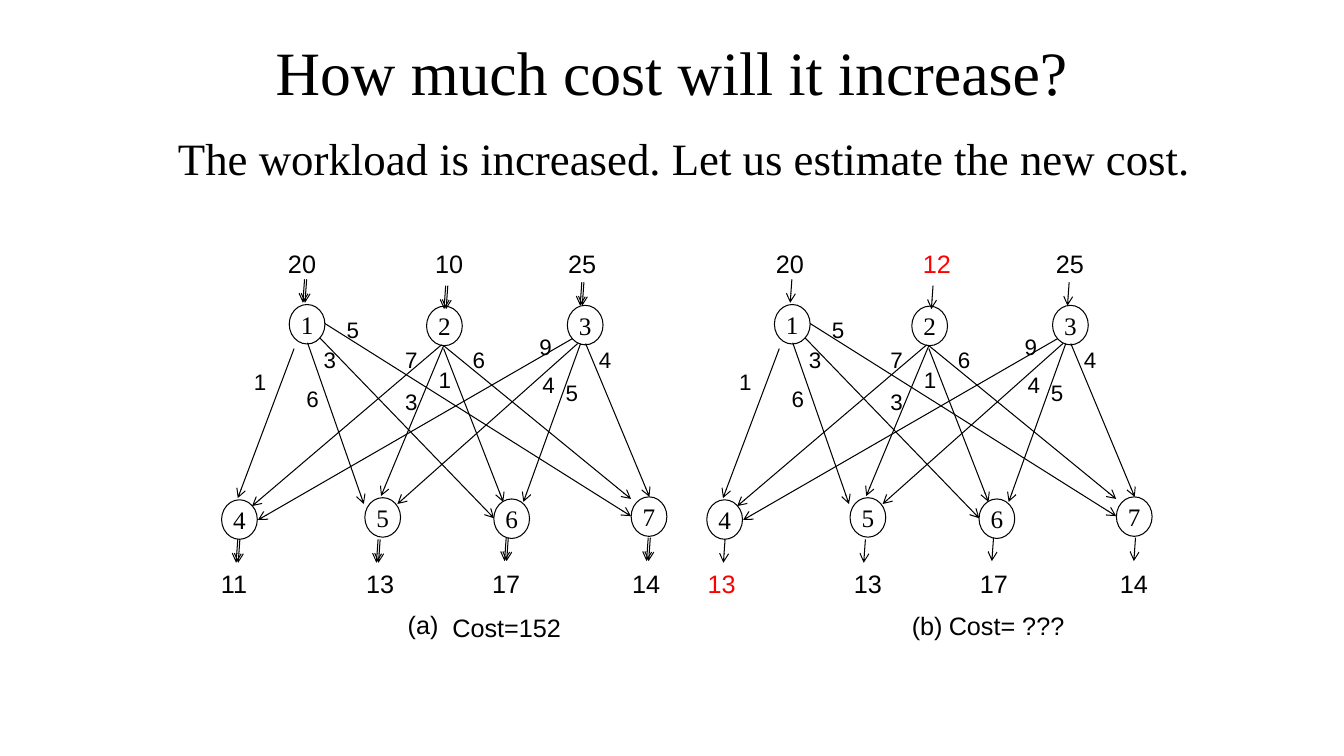
import pptx
import pptx.dml.color
import pptx.enum.shapes
import pptx.enum.text
import pptx.oxml.ns
import pptx.util
import lxml.etree

COLORS = {"ink": "000000", "changed": "FF0000"}
SERIF, SANS = "Times New Roman", "Arial"
ALIGN = pptx.enum.text.PP_ALIGN
ANCHOR = pptx.enum.text.MSO_ANCHOR

presentation = pptx.Presentation()
presentation.slide_width = pptx.util.Inches(13.33)
presentation.slide_height = pptx.util.Inches(7.5)
slide = presentation.slides.add_slide(presentation.slide_layouts[6])

# The slide is a grid of 160 columns by 90 rows.
CELL = presentation.slide_height / 90
PANEL_SHIFT = 57.75
NODE_WIDTH, NODE_HEIGHT = 4.25, 4.7
STUB_LEAN, STUB_LENGTH = -0.2, 2.8
LINE_WIDTH = pptx.util.Pt(0.75)


def add_label(text, x, y, width, height, size, font=SANS, color="ink", node=False):
    """Centre a text box, or a circled node, on the grid point (x, y)."""
    box = [round(value * CELL) for value in (x - width / 2, y - height / 2, width, height)]
    if node:
        shape = slide.shapes.add_shape(pptx.enum.shapes.MSO_SHAPE.OVAL, *box)
        shape.shadow.inherit = False
        shape.fill.background()
        shape.line.color.rgb = pptx.dml.color.RGBColor.from_string(COLORS["ink"])
        shape.line.width = LINE_WIDTH
    else:
        shape = slide.shapes.add_textbox(*box)
    frame = shape.text_frame
    frame.word_wrap = not node
    frame.vertical_anchor = ANCHOR.MIDDLE
    if width < 10:
        frame.margin_left = frame.margin_right = frame.margin_top = frame.margin_bottom = 0
    paragraph = frame.paragraphs[0]
    paragraph.alignment = ALIGN.CENTER
    run = paragraph.add_run()
    run.text = text
    run.font.size = pptx.util.Pt(size)
    run.font.name = font
    run.font.color.rgb = pptx.dml.color.RGBColor.from_string(COLORS[color])
    return frame


def add_arrow(start_x, start_y, end_x, end_y):
    ends = [round(value * CELL) for value in (start_x, start_y, end_x, end_y)]
    arrow = slide.shapes.add_connector(pptx.enum.shapes.MSO_CONNECTOR.STRAIGHT, *ends)
    arrow.line.color.rgb = pptx.dml.color.RGBColor.from_string(COLORS["ink"])
    arrow.line.width = LINE_WIDTH
    qn = pptx.oxml.ns.qn
    properties = arrow.line._get_or_add_ln()
    lxml.etree.SubElement(properties, qn("a:tailEnd"), type="arrow")
    lxml.etree.SubElement(properties.getparent(), qn("a:effectLst"))


add_label("How much cost will it increase?", 80, 8.4, 108, 12.75, 44, SERIF)
subtitle = add_label("The workload is increased. Let us estimate the new cost.",
                     81.5, 21.5, 123, 13, 32, SERIF)
subtitle.vertical_anchor = ANCHOR.TOP
subtitle.paragraphs[0].alignment = ALIGN.LEFT

# Node name: centre of the circle, then start of its supply or demand arrow.
nodes = {
    "1": (36.55, 38.6, 36.5, 33.25),
    "2": (52.9, 38.8, 53.3, 34),
    "3": (69.65, 38.7, 69.5, 33.6),
    "4": (28.5, 61.85, 28.55, 64.2),
    "5": (45.55, 61.6, 45.25, 64.2),
    "6": (60.9, 61.75, 60.5, 64),
    "7": (77.25, 61.5, 77.4, 64),
}

# Unit cost, centre of its label, start and end of the arrow.
routes = [
    ("1", 30.95, 45.4, 35, 41.5, 28.3, 59.3),
    ("6", 37.2, 47.45, 36.6, 40.8, 43.3, 60),
    ("3", 39.25, 42.8, 38.05, 40.2, 58.8, 61.7),
    ("5", 42, 39.2, 38.65, 38.5, 75.1, 61.45),
    ("7", 48.95, 42.8, 52.55, 41.05, 30, 60.25),
    ("3", 48.95, 47.8, 52.8, 41.15, 45.35, 59.05),
    ("1", 52.95, 45.2, 52.8, 41.5, 59.9, 59.75),
    ("6", 57, 42.8, 52.8, 41.15, 75.1, 59.4),
    ("9", 64.95, 41.2, 68.15, 40.3, 30.7, 61.9),
    ("4", 65.3, 45.8, 68.75, 40.9, 47.3, 60),
    ("5", 68.05, 46.75, 69.1, 40.9, 62.3, 59.75),
    ("4", 72, 42.8, 69.7, 40.9, 77.3, 59.15),
]

amount_columns = (35.95, 53.45, 69.3, 27.85, 45.25, 60.25, 76.9)
amount_rows = (31.4,) * 3 + (69.4,) * 4

# Panel shift, amounts, changed positions, offsets of the arrows, shift of the amounts.
panels = [
    (0, ("20", "10", "25", "11", "13", "17", "14"), (), (-0.25, 0), 0),
    (PANEL_SHIFT, ("20", "12", "25", "13", "13", "17", "14"), (1, 3), (0,), 0.3),
]

for shift, amounts, changed, stub_offsets, amount_shift in panels:
    for name, (x, y, stub_x, stub_y) in nodes.items():
        add_label(name, x + shift, y, NODE_WIDTH, NODE_HEIGHT, 18, SERIF, node=True)
        for offset in stub_offsets:
            start_x = stub_x + shift + offset
            add_arrow(start_x, stub_y, start_x + STUB_LEAN, stub_y + STUB_LENGTH)
    for cost, label_x, label_y, start_x, start_y, end_x, end_y in routes:
        add_arrow(start_x + shift, start_y, end_x + shift, end_y)
        add_label(cost, label_x + shift, label_y, 3, 4.4, 16)
    for index, amount in enumerate(amounts):
        color = "changed" if index in changed else "ink"
        add_label(amount, amount_columns[index] + shift + amount_shift,
                  amount_rows[index], 5, 4.8, 18, color=color)

for caption, x, y, width in [
    ("(a)", 50.35, 74.3, 11.2),
    ("Cost=152", 60.3, 74.65, 17.6),
    ("(b)", 110.35, 74.4, 11.2),
    ("Cost= ???", 119.8, 74.4, 17.6),
]:
    add_label(caption, x, y, width, 4.8, 18)

presentation.save("out.pptx")
